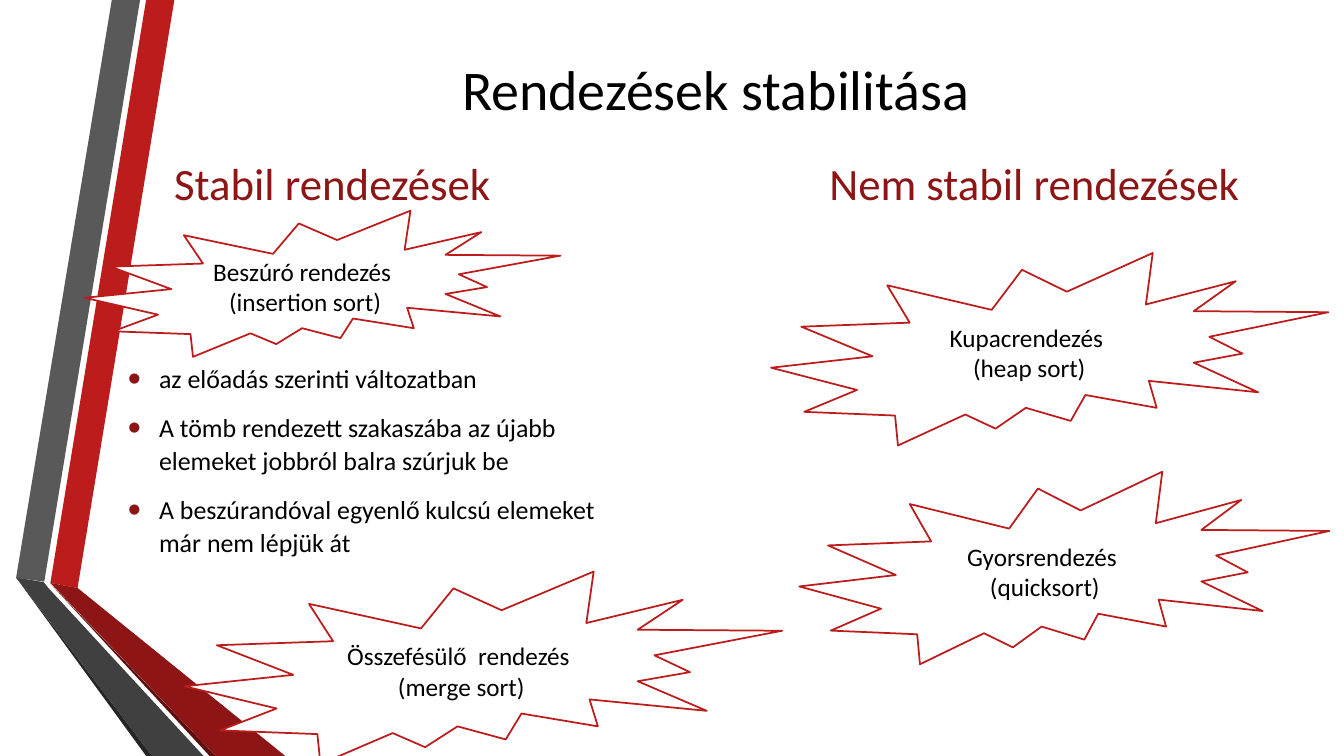
from lxml import etree
from pptx import Presentation
from pptx import util as u
from pptx.dml.color import RGBColor
from pptx.enum import shapes, text
from pptx.oxml import ns

COLUMNS, ROWS = 80, 45
BLACK = RGBColor(0x00, 0x00, 0x00)
WHITE = RGBColor(0xFF, 0xFF, 0xFF)
RED = RGBColor(0xBC, 0x1C, 0x1C)
DARK_RED = RGBColor(0x8D, 0x15, 0x15)
DEEP_RED = RGBColor(0x5E, 0x0E, 0x0E)
GREY = RGBColor(0x59, 0x59, 0x59)
DARK_GREY = RGBColor(0x40, 0x40, 0x40)
DEEP_GREY = RGBColor(0x26, 0x26, 0x26)

# Each band is a colour and its corners as (column, row).
RIBBON = [
    (RED, [(3, 34.7), (4.62, 35), (10.38, 0), (8.7, 0)]),
    (GREY, [(8.34, 0), (6.66, 0), (0.96, 34.4), (2.64, 34.62)]),
    (DEEP_GREY, [(0.96, 34.38), (8.7, 45), (9.06, 45)]),
    (DEEP_RED, [(3, 34.74), (12.48, 45), (12.84, 45)]),
    (DARK_RED, [(3, 34.7), (12.84, 45), (16.98, 45), (4.62, 35)]),
    (DARK_GREY, [(12.12, 45), (2.88, 35), (2.6, 34.65), (0.96, 34.38), (9.06, 45)]),
]
HEADINGS = [
    ("Stabil rendezések", (9.78, 9, 30.24, 3.78)),
    ("Nem stabil rendezések", (48.78, 9, 30.36, 3.78)),
]
INSERTION_NOTES = [
    "az előadás szerinti változatban",
    "A tömb rendezett szakaszába az újabb elemeket jobbról balra szúrjuk be",
    "A beszúrandóval egyenlő kulcsú elemeket már nem lépjük át",
]
SORTS = [
    ("Összefésülő  rendezés ", "(merge sort)", (10.98, 34.02, 35.58, 11.46)),
    ("Beszúró rendezés ", "(insertion sort)", (5.04, 12.54, 28.32, 8.7)),
    ("Kupacrendezés ", "(heap sort)", (45.9, 15.06, 33.18, 11.46)),
    ("Gyorsrendezés ", "(quicksort)", (47.58, 28.08, 31.56, 11.46)),
]


def set_all(target, values):
    for name, value in values.items():
        setattr(target, name, value)


class SlideBuilder:
    font_name = "Calibri"

    def __init__(self, deck):
        self.column = deck.slide_width / COLUMNS
        self.row = deck.slide_height / ROWS
        self.slide = deck.slides.add_slide(deck.slide_layouts[5])
        self.shapes = self.slide.shapes

    def box(self, area):
        """Turn (column, row, columns, rows) into left, top, width, height."""
        steps = (self.column, self.row) * 2
        return [u.Emu(round(cells * step)) for cells, step in zip(area, steps)]

    def fill_text(self, shape, lines, anchor, size, color, paragraph_format):
        frame = shape.text_frame
        set_all(frame, {"word_wrap": True, "vertical_anchor": anchor,
                        "auto_size": text.MSO_AUTO_SIZE.NONE})
        frame.text = "\n".join(lines)
        for paragraph in frame.paragraphs:
            set_all(paragraph, paragraph_format)
            run_font = paragraph.runs[0].font
            set_all(run_font, {"name": self.font_name, "size": u.Pt(size)})
            run_font.color.rgb = color
        return frame.paragraphs

    def title(self, wording, area):
        title = self.shapes.title
        places = ("left", "top", "width", "height")
        set_all(title, dict(zip(places, self.box(area))))
        self.fill_text(title, [wording], text.MSO_ANCHOR.MIDDLE, 40, BLACK,
                       {"alignment": text.PP_ALIGN.CENTER})

    def band(self, color, corners):
        points = [(x * self.column, y * self.row) for x, y in corners]
        outline = self.shapes.build_freeform(*points[0])
        outline.add_line_segments(points[1:], close=True)
        band = outline.convert_to_shape()
        band.shadow.inherit = False
        band.fill.solid()
        band.fill.fore_color.rgb = color
        band.line.fill.background()

    def heading(self, wording, area):
        heading = self.shapes.add_textbox(*self.box(area))
        self.fill_text(heading, [wording], text.MSO_ANCHOR.BOTTOM, 32, DARK_RED, {})

    def bullets(self, lines, area):
        notes = self.shapes.add_textbox(*self.box(area))
        paragraphs = self.fill_text(
            notes, lines, text.MSO_ANCHOR.TOP, 18.5, BLACK,
            {"line_spacing": 1.07, "space_before": u.Pt(3), "space_after": u.Pt(8)})
        for paragraph in paragraphs:
            properties = paragraph._p.get_or_add_pPr()
            properties.set("marL", str(u.Inches(0.81)))
            properties.set("indent", str(u.Inches(-0.31)))
            bullet_color = etree.SubElement(properties, ns.qn("a:buClr"))
            etree.SubElement(bullet_color, ns.qn("a:srgbClr"), val=str(DARK_RED))
            etree.SubElement(properties, ns.qn("a:buSzPct"), val="145000")
            etree.SubElement(properties, ns.qn("a:buFont"), typeface="Arial")
            etree.SubElement(properties, ns.qn("a:buChar"), char="•")

    def burst(self, lines, area):
        burst = self.shapes.add_shape(shapes.MSO_SHAPE.EXPLOSION2, *self.box(area))
        burst.shadow.inherit = False
        burst.fill.solid()
        burst.fill.fore_color.rgb = WHITE
        burst.line.color.rgb = RED
        burst.line.width = u.Pt(1.25)
        self.fill_text(burst, lines, text.MSO_ANCHOR.MIDDLE, 18, BLACK,
                       {"alignment": text.PP_ALIGN.CENTER})


def main():
    deck = Presentation()
    set_all(deck, {"slide_width": u.Emu(12192000), "slide_height": u.Inches(7.5)})
    stability = SlideBuilder(deck)
    for color, corners in RIBBON:
        stability.band(color, corners)
    stability.title("Rendezések stabilitása", (9.72, 1.5, 65.76, 7.5))
    for wording, area in HEADINGS:
        stability.heading(wording, area)
    stability.bullets(INSERTION_NOTES, (4.02, 21.18, 32.46, 13.86))
    for hungarian, english, area in SORTS:
        stability.burst([hungarian, english], area)
    deck.save("out.pptx")


if __name__ == "__main__":
    main()
